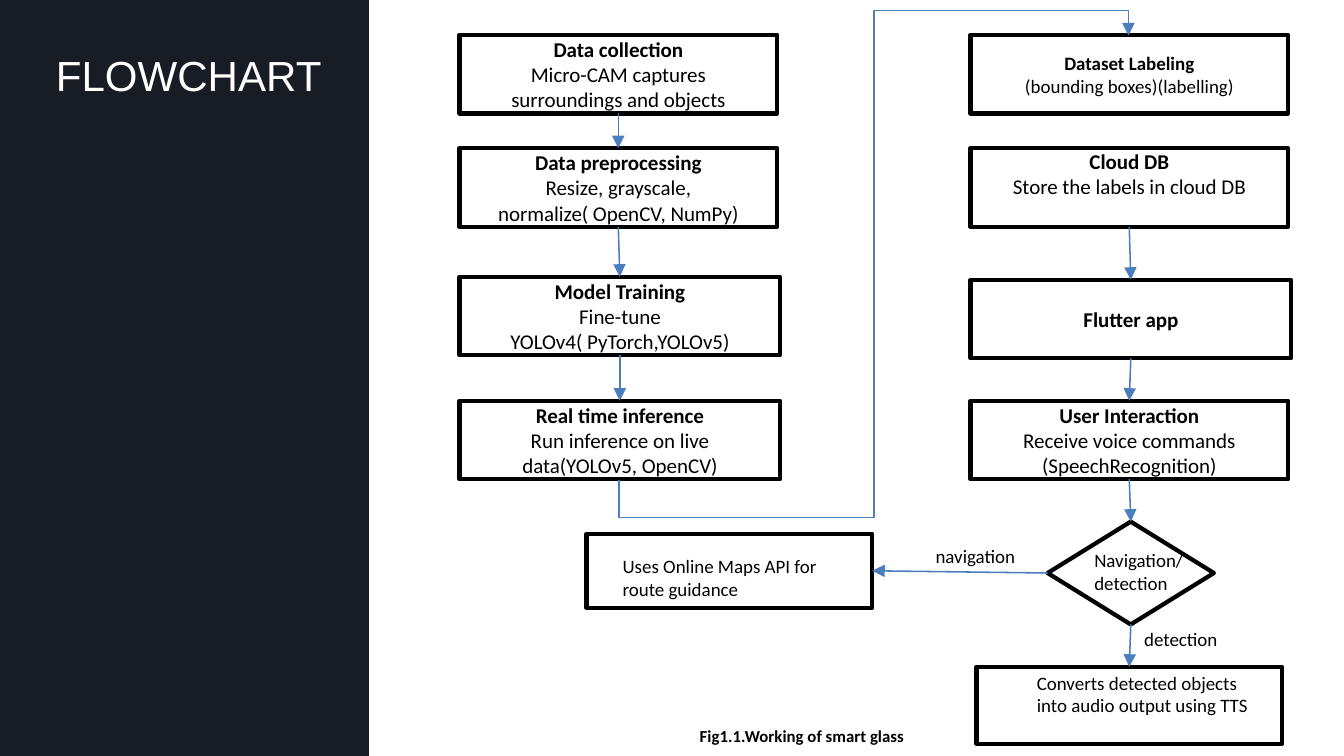
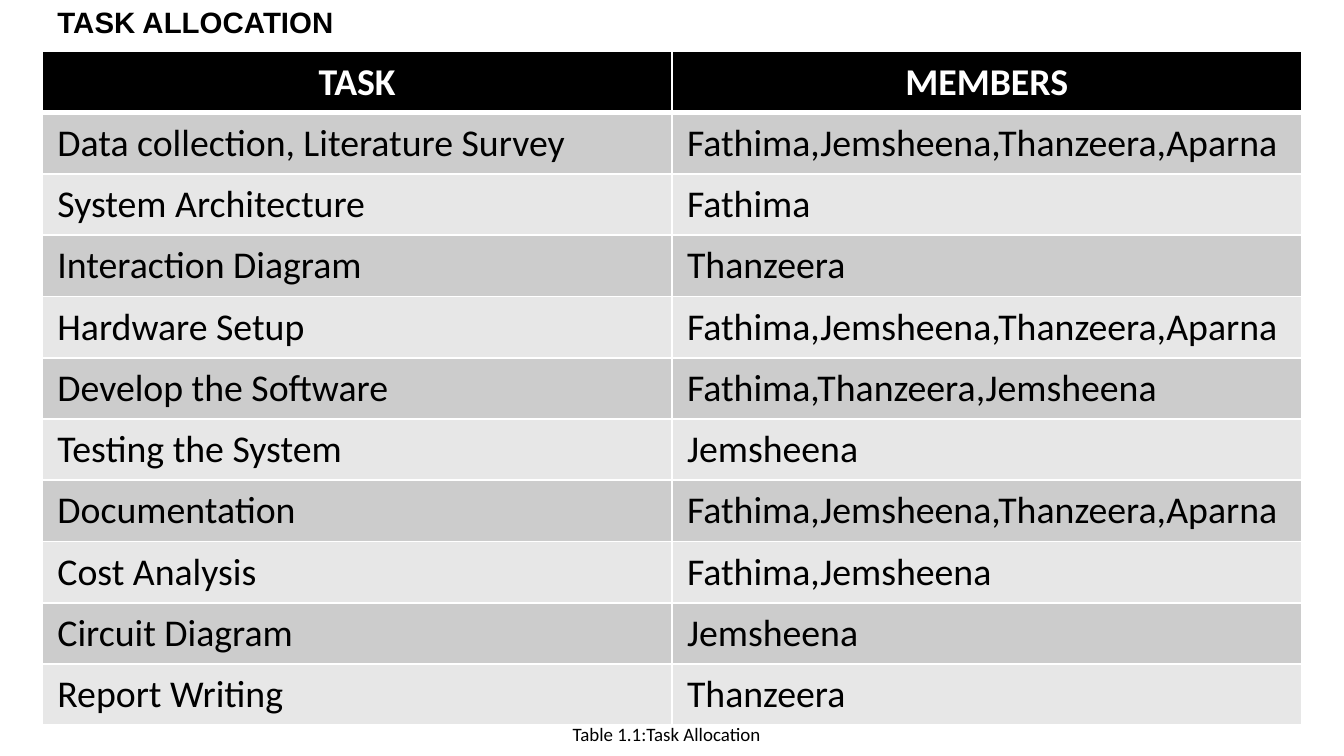
from lxml import etree
from pptx import Presentation
from pptx import util as u
from pptx.dml.color import RGBColor
from pptx.enum import shapes, text
from pptx.oxml import ns

BLACK = RGBColor(0, 0, 0)
WHITE = RGBColor(255, 255, 255)
NAVY = RGBColor(0x18, 0x1C, 0x24)
BLUE = RGBColor(0x4B, 0x7E, 0xBC)
GREY = RGBColor(0xCC, 0xCC, 0xCC)
PALE = RGBColor(0xE7, 0xE7, 0xE7)
KIND = shapes.MSO_SHAPE
WIRE = shapes.MSO_CONNECTOR
MID = text.PP_ALIGN.CENTER
LEFT = text.PP_ALIGN.LEFT


def write(frame, lines, size, align=LEFT, color=BLACK, bold=False, name="Calibri"):
    frame.word_wrap = True
    for i, line in enumerate(lines):
        para = frame.paragraphs[0] if i == 0 else frame.add_paragraph()
        para.alignment = align
        run = para.add_run()
        run.text = line
        look = {"name": name, "size": u.Pt(size), "bold": bold and i == 0}
        for key, val in look.items():
            setattr(run.font, key, val)
        run.font.color.rgb = color


def style(wire):
    wire.line.color.rgb = BLUE
    wire.line.width = u.Pt(0.75)
    props = wire._element.spPr
    tail = etree.SubElement(props.find(ns.qn("a:ln")), ns.qn("a:tailEnd"))
    tail.set("type", "triangle")
    etree.SubElement(props, ns.qn("a:effectLst"))


deck = Presentation()
deck.slide_width = u.Inches(8.89)
deck.slide_height = u.Inches(5)

heads = [
    ("FLOWCHART", 0.35, 0.31, 0.35, 20, WHITE, False),
    ("TASK ALLOCATION", 0.36, 0.01, 0.25, 14, BLACK, True),
]
pages = []
for words, x, y, high, size, color, bold in heads:
    page = deck.slides.add_slide(deck.slide_layouts[5])
    title = page.shapes.title
    spots = {"left": x, "top": y, "width": 2.34, "height": high}
    for key, val in spots.items():
        setattr(title, key, u.Inches(val))
    frame = title.text_frame
    edges = {"margin_left": 0.02, "margin_top": 0.02, "margin_right": 0, "margin_bottom": 0}
    for key, val in edges.items():
        setattr(frame, key, u.Inches(val))
    frame.vertical_anchor = text.MSO_ANCHOR.TOP
    frame.auto_size = text.MSO_AUTO_SIZE.NONE
    write(frame, [words], size, color=color, bold=bold, name="Arial")
    pages.append(page)
flow, tasks = pages

band = flow.shapes.add_shape(KIND.RECTANGLE, 0, 0, u.Inches(2.44), deck.slide_height)
band.shadow.inherit = False
band.fill.solid()
band.fill.fore_color.rgb = NAVY
band.line.fill.background()
flow.shapes._spTree.insert(2, band._element)

STEP = KIND.FLOWCHART_PROCESS
steps = [
    ("collect", STEP, 3.04, 0.23, 2.1, 0.52, 10,
     ["Data collection", "Micro-CAM captures surroundings and objects"]),
    ("prep", STEP, 3.04, 0.98, 2.1, 0.52, 10,
     ["Data preprocessing", "Resize, grayscale, normalize( OpenCV, NumPy)"]),
    ("train", STEP, 3.04, 1.83, 2.12, 0.52, 10,
     ["Model Training", "Fine-tune YOLOv4( PyTorch,YOLOv5)"]),
    ("infer", STEP, 3.04, 2.65, 2.12, 0.52, 10,
     ["Real time inference", "Run inference on live data(YOLOv5, OpenCV)"]),
    ("label", STEP, 6.42, 0.23, 2.1, 0.52, 9,
     ["Dataset Labeling", "(bounding boxes)(labelling)"]),
    ("store", STEP, 6.42, 0.98, 2.1, 0.52, 10,
     ["Cloud DB", "Store the labels in cloud DB"]),
    ("app", STEP, 6.42, 1.85, 2.12, 0.52, 10, ["Flutter app"]),
    ("user", STEP, 6.42, 2.65, 2.1, 0.52, 10,
     ["User Interaction", "Receive voice commands (SpeechRecognition)"]),
    ("route", KIND.RECTANGLE, 3.88, 3.53, 1.89, 0.49, 9, []),
    ("speech", KIND.RECTANGLE, 6.46, 4.41, 2.02, 0.51, 9, []),
    ("choice", KIND.DIAMOND, 6.93, 3.45, 1.1, 0.68, 9, []),
]
boxes = {}
for key, kind, x, y, wide, high, size, lines in steps:
    box = flow.shapes.add_shape(kind, *map(u.Inches, (x, y, wide, high)))
    box.shadow.inherit = False
    box.fill.solid()
    box.fill.fore_color.rgb = WHITE
    box.line.color.rgb = BLACK
    box.line.width = u.Pt(2)
    box.text_frame.vertical_anchor = text.MSO_ANCHOR.MIDDLE
    write(box.text_frame, lines, size, MID, bold=True)
    boxes[key] = box
store = boxes["store"].text_frame
store.vertical_anchor = text.MSO_ANCHOR.TOP
store.margin_top = 0

DOWN, SIDE = (2, 0), (1, 3)
links = [
    ("collect", "prep", DOWN), ("prep", "train", DOWN), ("train", "infer", DOWN),
    ("store", "app", DOWN), ("app", "user", DOWN), ("user", "choice", DOWN),
    ("choice", "speech", DOWN), ("choice", "route", SIDE),
]
for start, end, (out, into) in links:
    wire = flow.shapes.add_connector(WIRE.STRAIGHT, 0, 0, 0, 0)
    wire.begin_connect(boxes[start], out)
    wire.end_connect(boxes[end], into)
    style(wire)

bend = flow.shapes.add_connector(WIRE.ELBOW, *map(u.Inches, (7.25, 3.39, 4.31, 0.02)))
style(bend)
props = bend._element.spPr
props.find(ns.qn("a:xfrm")).set("rot", "5400000")
geom = props.find(ns.qn("a:prstGeom"))
geom.set("prst", "bentConnector5")
guides = geom.find(ns.qn("a:avLst"))
for i, val in enumerate((-8500, 50100, 105600), 1):
    etree.SubElement(guides, ns.qn("a:gd"), name=f"adj{i}", fmla=f"val {val}")

notes = [
    (flow, "Fig1.1.Working of smart glass", 4.53, 4.75, 1.75, 0.24, 8, True),
    (flow, "Navigation/detection", 7.14, 3.58, 0.83, 0.4, 9, False),
    (flow, "Uses Online Maps API for route guidance", 4.02, 3.62, 1.75, 0.4, 9, False),
    (flow, "Converts detected objects into audio output using TTS",
     6.76, 4.39, 1.61, 0.56, 9, False),
    (flow, "navigation", 6.09, 3.55, 0.86, 0.25, 9, False),
    (flow, "detection", 7.47, 4.1, 0.91, 0.25, 9, False),
    (tasks, "Table 1.1:Task Allocation", 3.69, 4.73, 4.44, 0.25, 9, False),
]
for page, words, x, y, wide, high, size, bold in notes:
    note = page.shapes.add_textbox(*map(u.Inches, (x, y, wide, high)))
    write(note.text_frame, [words], size, bold=bold)

TEAM = "Fathima,Jemsheena,Thanzeera,Aparna"
rows = [
    ("TASK", "MEMBERS"),
    ("Data collection, Literature Survey", TEAM),
    ("System Architecture", "Fathima"),
    ("Interaction Diagram", "Thanzeera"),
    ("Hardware Setup", TEAM),
    ("Develop the Software", "Fathima,Thanzeera,Jemsheena"),
    ("Testing the System", "Jemsheena"),
    ("Documentation", TEAM),
    ("Cost Analysis", "Fathima,Jemsheena"),
    ("Circuit Diagram", "Jemsheena"),
    ("Report Writing", "Thanzeera"),
]
grid = tasks.shapes.add_table(
    len(rows), 2, *map(u.Inches, (0.28, 0.34, 8.33, 4.46))).table
for r, row in enumerate(rows):
    head = r == 0
    for c, words in enumerate(row):
        cell = grid.cell(r, c)
        props = cell._tc.get_or_add_tcPr()
        for side in ("lnL", "lnR", "lnT", "lnB"):
            thick = (r, side) in ((0, "lnB"), (1, "lnT"))
            line = etree.SubElement(props, ns.qn(f"a:{side}"), w=str(u.Pt(3 if thick else 1)))
            paint = etree.SubElement(line, ns.qn("a:solidFill"))
            etree.SubElement(paint, ns.qn("a:srgbClr"), val=str(WHITE))
        cell.fill.solid()
        cell.fill.fore_color.rgb = BLACK if head else (PALE, GREY)[r % 2]
        write(cell.text_frame, [words], 18, MID if head else LEFT,
              WHITE if head else BLACK, head)

deck.save("out.pptx")
